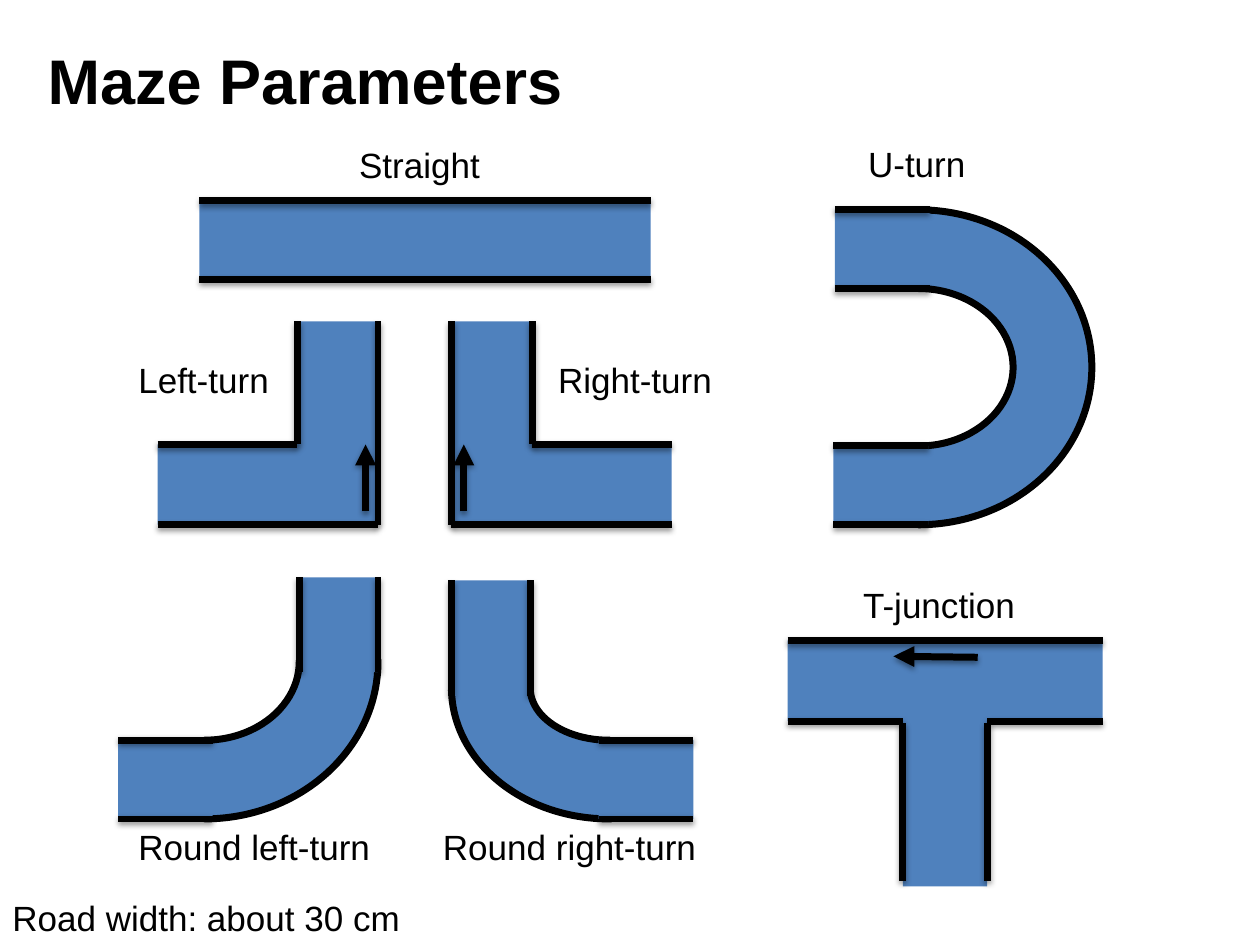
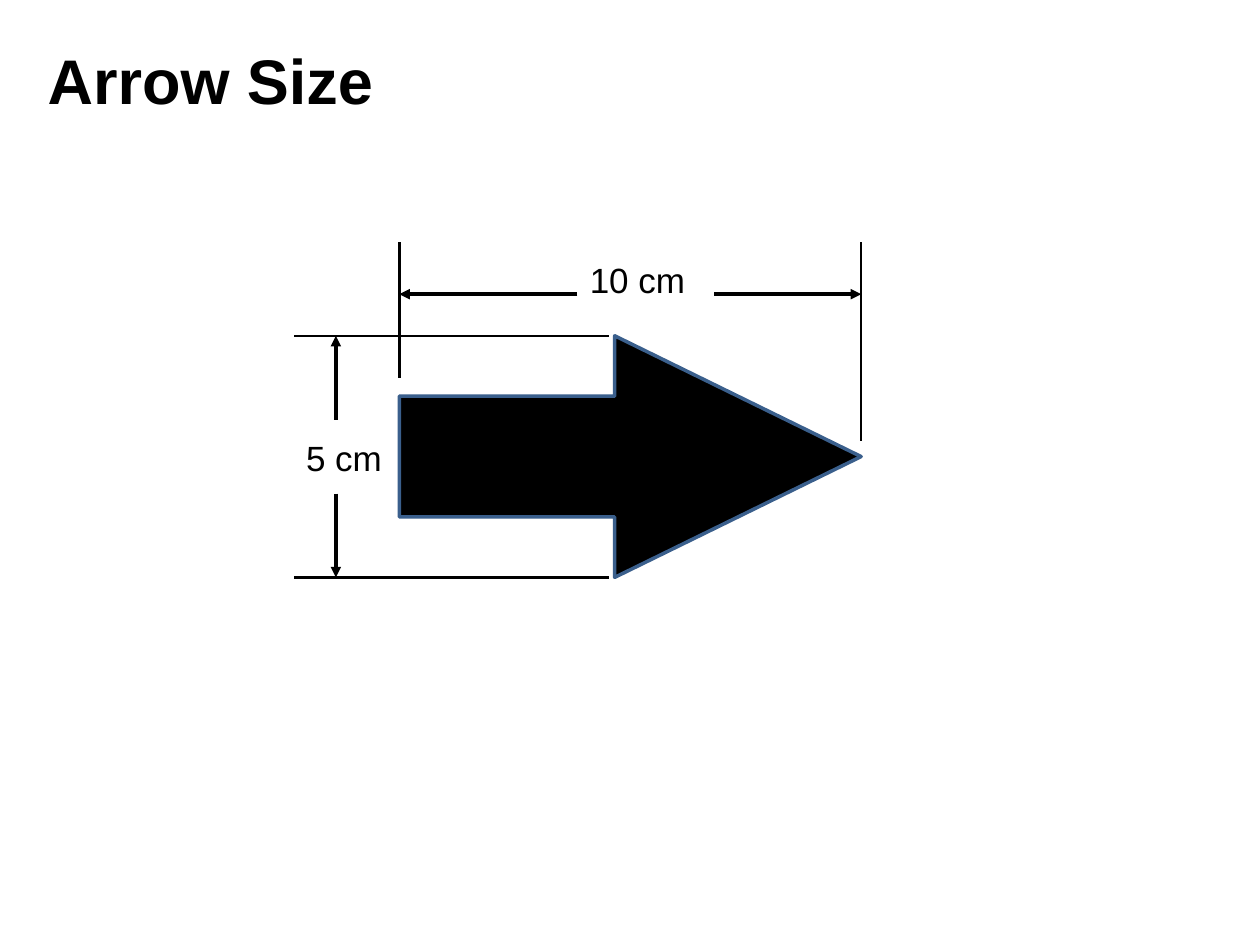
"""Build two slides showing the maze road pieces and the arrow size."""
from lxml import etree
from pptx import Presentation
from pptx.dml.color import RGBColor
from pptx.enum.shapes import MSO_CONNECTOR, MSO_SHAPE
from pptx.enum.text import MSO_ANCHOR, MSO_AUTO_SIZE, PP_ALIGN
from pptx.oxml import parse_xml
from pptx.oxml.ns import nsdecls, qn
from pptx.util import Cm, Pt

STRAIGHT = MSO_CONNECTOR.STRAIGHT
RECTANGLE = MSO_SHAPE.RECTANGLE
BLOCK_ARC = MSO_SHAPE.BLOCK_ARC
RIGHT_ARROW = MSO_SHAPE.RIGHT_ARROW
MIDDLE = MSO_ANCHOR.MIDDLE
FIT_SHAPE = MSO_AUTO_SIZE.SHAPE_TO_FIT_TEXT
NO_FIT = MSO_AUTO_SIZE.NONE
LEFT = PP_ALIGN.LEFT

COLORS = {"ink": "000000", "road": "4F81BD", "outline": "3A5F8C"}
FONT = "Arial"
TITLE_ONLY = 5
EDGE = 4
ROAD = 1.59
STUB = 1.91
MIRROR = 16.72
SHADOW = (
    f'<a:effectLst {nsdecls("a")}>'
    '<a:outerShdw blurRad="39370" dist="20320" dir="5400000" rotWithShape="0">'
    '<a:srgbClr val="000000"><a:alpha val="38000"/></a:srgbClr>'
    "</a:outerShdw></a:effectLst>"
)
NO_SHADOW = f'<a:effectLst {nsdecls("a")}/>'


def color(name):
    """Return a palette colour."""
    return RGBColor.from_string(COLORS[name])


class Painter:
    """Hold the deck style and draw on the current slide, in centimetres."""

    def __init__(self):
        """Start a deck of 4:3 pages."""
        self.deck = Presentation()
        self.deck.slide_width, self.deck.slide_height = Cm(25.4), Cm(19.05)
        self.page = None

    def set_text(self, frame, text, size, bold=False):
        """Set the text of a frame and format it."""
        frame.text = text
        para = frame.paragraphs[0]
        para.alignment = LEFT
        for span in para.runs:
            span.font.name, span.font.size, span.font.bold = FONT, Pt(size), bold
            span.font.color.rgb = color("ink")

    def new_page(self, heading):
        """Add a slide with its title."""
        self.page = self.deck.slides.add_slide(self.deck.slide_layouts[TITLE_ONLY])
        title = self.page.shapes.title
        title.left, title.top, title.width, title.height = Cm(0), Cm(0), Cm(25.4), Cm(3.18)
        frame = title.text_frame
        frame.auto_size, frame.vertical_anchor = NO_FIT, MIDDLE
        frame.margin_left = Cm(0.96)
        self.set_text(frame, heading, 36, True)

    def label(self, text, left, top, width):
        """Add a one-line caption."""
        box = self.page.shapes.add_textbox(Cm(left), Cm(top), Cm(width), Cm(1.11))
        box.text_frame.word_wrap = False
        box.text_frame.auto_size = FIT_SHAPE
        self.set_text(box.text_frame, text, 20)

    def shape(self, kind, left, top, width, height, fill="road", outline=None, weight=EDGE):
        """Add a filled preset shape, outlined on request."""
        shape = self.page.shapes.add_shape(kind, Cm(left), Cm(top), Cm(width), Cm(height))
        shape.shadow.inherit = False
        shape.fill.solid()
        shape.fill.fore_color.rgb = color(fill)
        if outline:
            shape.line.color.rgb = color(outline)
            shape.line.width = Pt(weight)
        else:
            shape.line.fill.background()
        return shape

    def line(self, x1, y1, x2, y2, weight=EDGE, arrow=False, shadow=True):
        """Add a straight line, with an arrowhead at its end on request."""
        line = self.page.shapes.add_connector(STRAIGHT, Cm(x1), Cm(y1), Cm(x2), Cm(y2))
        line.line.color.rgb = color("ink")
        line.line.width = Pt(weight)
        properties = line._element.spPr
        if arrow:
            etree.SubElement(properties.find(qn("a:ln")), qn("a:tailEnd"), type="triangle")
        properties.append(parse_xml(SHADOW if shadow else NO_SHADOW))

    def curve(self, left, top, width, height, adjustments=()):
        """Add a curved road turned by a quarter."""
        arc = self.shape(BLOCK_ARC, left, top, width, height, outline="ink")
        arc.rotation = 90
        for index, value in enumerate(adjustments):
            arc.adjustments[index] = value

    def road(self, left, top, length, upright=False):
        """Add a straight road with an edge along both sides."""
        width, height = (ROAD, length) if upright else (length, ROAD)
        right, bottom = left + width, top + height
        self.shape(RECTANGLE, left, top, width, height)
        if upright:
            self.line(left, top, left, bottom)
            self.line(right, top, right, bottom)
        else:
            self.line(left, top, right, top)
            self.line(left, bottom, right, bottom)

    def sharp_turn(self, flip):
        """Add a left turn, or a right turn when flipped."""
        def across(x):
            return MIRROR - x if flip else x

        outer, inner, end = across(7.62), across(5.99), across(3.18)
        top, bend, bottom = 6.48, 8.96, 10.58
        self.shape(RECTANGLE, min(outer, end), bend, abs(outer - end), bottom - bend)
        self.shape(RECTANGLE, min(outer, inner), top, abs(outer - inner), bottom - top)
        self.line(across(7.37), 10.31, across(7.37), bend, arrow=True)
        for edge in (
            (outer, top, outer, bottom),
            (end, bottom, outer, bottom),
            (end, bend, inner, bend),
            (inner, top, inner, bend),
        ):
            self.line(*edge)

    def junction(self):
        """Add the T-junction with its direction arrow."""
        left, right, top, bottom = 15.88, 22.23, 12.91, 14.54
        stem_left, stem_right = 18.2, 19.9
        self.shape(RECTANGLE, left, top, right - left, bottom - top)
        self.shape(RECTANGLE, stem_left, 13.75, stem_right - stem_left, 4.12)
        self.line(left, top, right, top)
        self.line(left, bottom, stem_left, bottom)
        self.line(stem_right, bottom, right, bottom)
        for x in (stem_left, stem_right):
            self.line(x, 14.58, x, 17.76)
        self.line(19.71, 13.25, 18.01, 13.23, arrow=True)


def draw_maze(painter):
    """Draw the road pieces of the maze."""
    painter.new_page("Maze Parameters")
    painter.road(4.02, 4.04, 9.1)
    for flip in (False, True):
        painter.sharp_turn(flip)

    painter.curve(15.34, 3.91, 6.35, 6.99)
    painter.road(16.83, 4.23, STUB)
    painter.road(16.8, 8.99, STUB)

    painter.curve(0.95, 9.84, 6.35, 6.99, (161.73, 0, 0.25))
    painter.road(6.03, 11.64, STUB, upright=True)
    painter.road(2.38, 14.92, STUB)

    painter.curve(9.63, 10.69, 5.29, 6.35, (215.49, 53.52, 0.3))
    painter.road(9.1, 11.7, 2.33, upright=True)
    painter.road(12.07, 14.92, STUB)

    painter.junction()
    for caption in (
        ("Straight", 6.99, 2.76, 2.97),
        ("Left-turn", 2.54, 7.11, 3.15),
        ("Right-turn", 11, 7.11, 3.63),
        ("U-turn", 17.25, 2.75, 2.49),
        ("Round left-turn", 2.54, 16.51, 5.21),
        ("Round right-turn", 8.68, 16.51, 5.66),
        ("T-junction", 17.15, 11.64, 3.61),
        ("Road width: about 30 cm", 0, 17.94, 8.38),
    ):
        painter.label(*caption)


def draw_arrow_size(painter):
    """Draw the arrow with its dimension lines."""
    painter.new_page("Arrow Size")
    left, right, top, bottom = 8.05, 17.36, 6.77, 11.64
    arrow = painter.shape(
        RIGHT_ARROW, left, top, right - left, bottom - top, "ink", "outline", 2
    )
    arrow.adjustments[0], arrow.adjustments[1] = 0.5, 1.02

    for x, end in ((left, 7.62), (right, 8.89)):
        painter.line(x, 4.88, x, end, 1.5, shadow=False)
    for y in (top, bottom):
        painter.line(12.27, y, 5.92, y, 1.5, shadow=False)
    for start, tip in ((14.4, right), (11.64, left)):
        painter.line(start, 5.93, tip, 5.93, 2, arrow=True, shadow=False)
    for start, tip in ((8.46, top), (9.95, bottom)):
        painter.line(6.77, start, 6.77, tip, 2, arrow=True, shadow=False)

    painter.label("10 cm", 11.64, 5.08, 2.44)
    painter.label("5 cm", 5.92, 8.68, 2.06)


def main():
    """Build and save the deck."""
    painter = Painter()
    draw_maze(painter)
    draw_arrow_size(painter)
    painter.deck.save("out.pptx")


if __name__ == "__main__":
    main()
